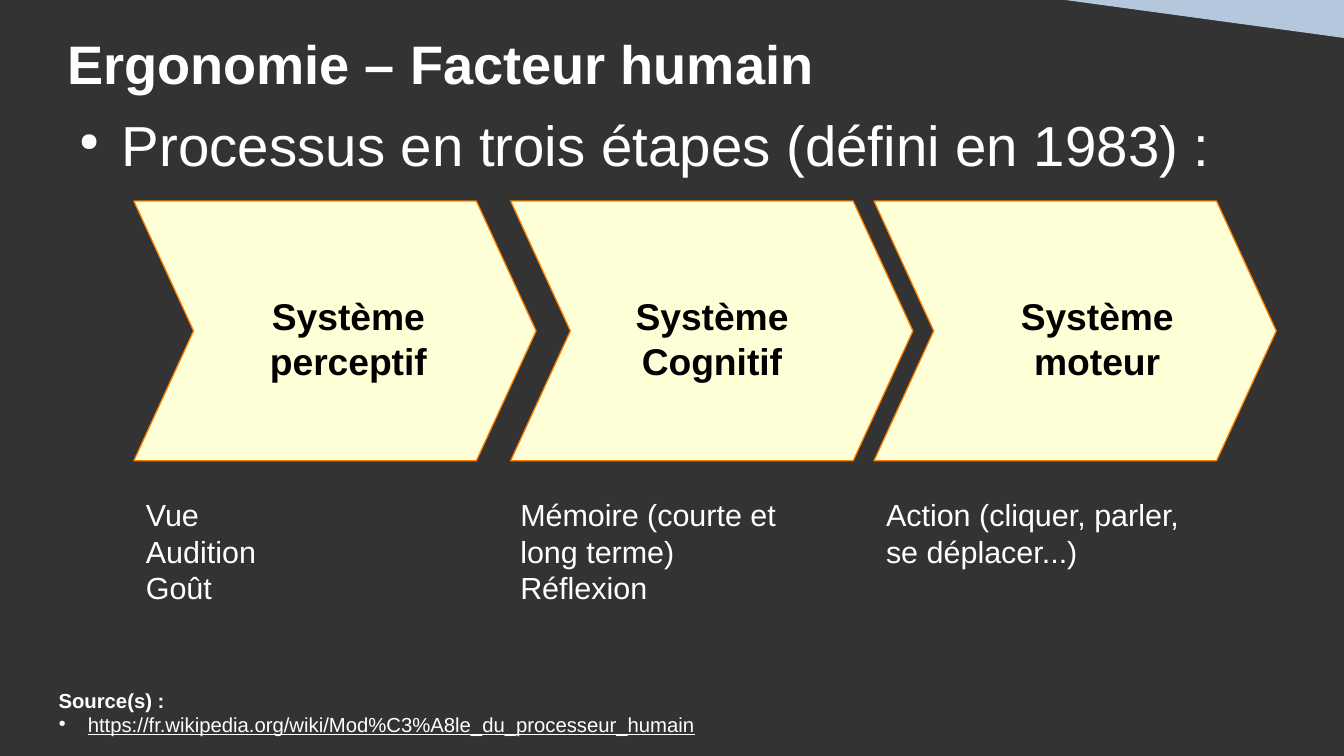
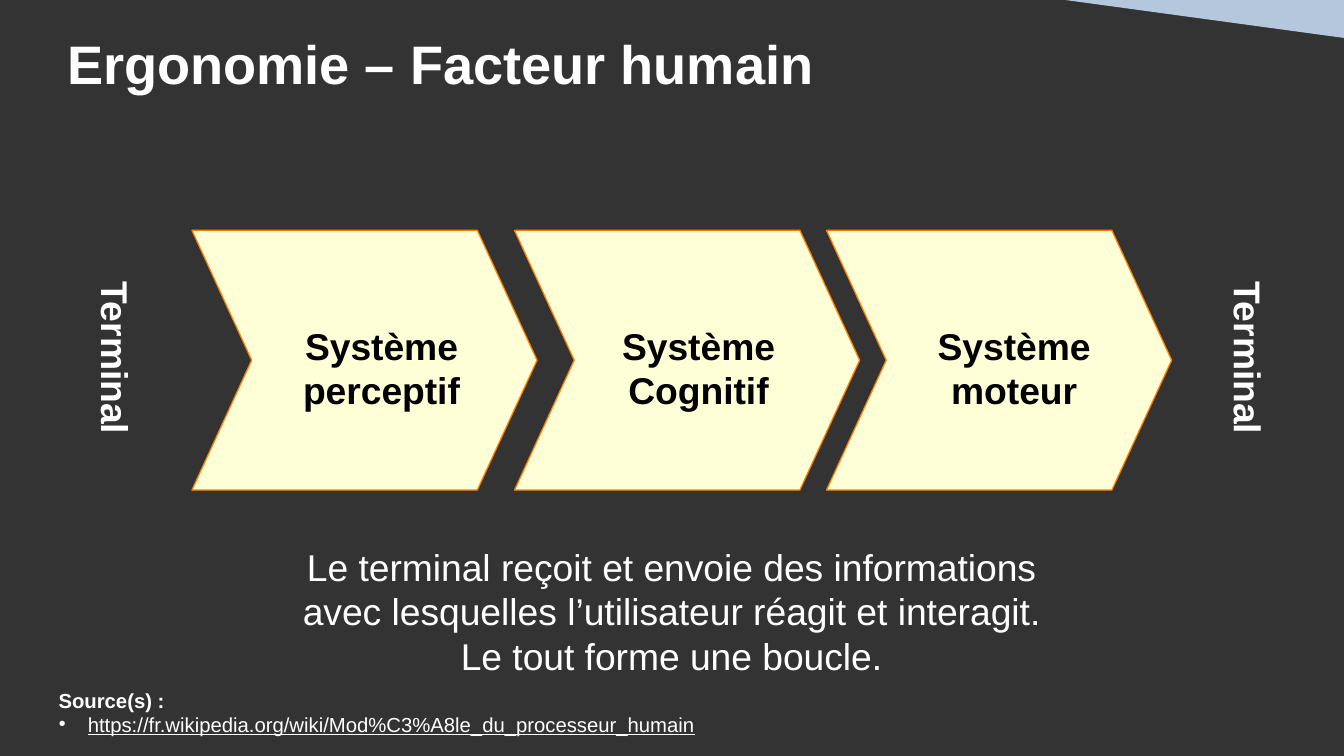
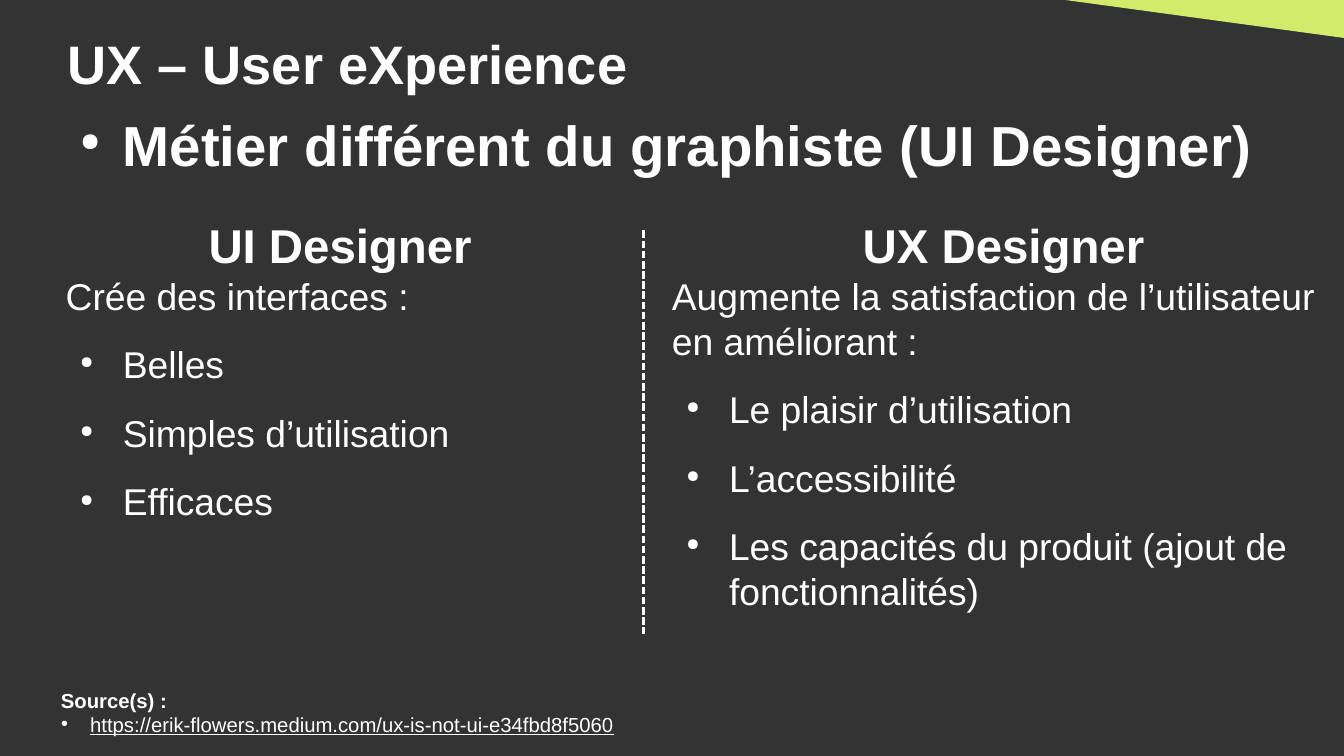
import pptx
import pptx.util
import pptx.dml.color
import pptx.enum.dml
import pptx.enum.shapes
import pptx.enum.text
import pptx.oxml.ns
from dataclasses import dataclass
from lxml import etree

Cm = pptx.util.Cm
Pt = pptx.util.Pt
Shape = pptx.enum.shapes.MSO_SHAPE
Align = pptx.enum.text.PP_ALIGN
qn = pptx.oxml.ns.qn


# Theme: colours and type sizes
@dataclass(frozen=True)
class Theme:
    font: str = "Arial"
    back: str = "333333"
    ink: str = "FFFFFF"
    dark: str = "000000"
    cream: str = "FFFFD7"
    edge: str = "FF8000"
    blue: str = "B4C7DC"
    lime: str = "D4EA6B"
    title: float = 32
    lead: float = 33.3
    head: float = 28
    text: float = 22
    note: float = 18
    small: float = 12
    gap: float = 14.1
    bullet: int = 45


T = Theme()


@dataclass(frozen=True)
class Box:
    """Left, top, width and height in centimetres."""
    x: float
    y: float
    w: float
    h: float

    def place(self) -> tuple:
        return Cm(self.x), Cm(self.y), Cm(self.w), Cm(self.h)


@dataclass(frozen=True)
class Para:
    text: str
    size: float = T.text
    bold: bool = False
    line: bool = False
    color: str = T.ink
    align: Align = Align.LEFT
    left: float = 0
    hang: float = 0
    space: float = 0


@dataclass(frozen=True)
class Step:
    """One chevron: its left edge, and the place and wording of its label."""
    x: float
    tag: float
    wide: float
    text: str


@dataclass(frozen=True)
class Side:
    """One column of the comparison."""
    head: float
    x: float
    w: float
    name: str
    intro: str
    items: tuple


# Helpers
def rgb(code: str) -> pptx.dml.color.RGBColor:
    return pptx.dml.color.RGBColor.from_string(code)


def bullet(para, left: float, hang: float) -> None:
    props = para._p.get_or_add_pPr()
    props.set("marL", str(Cm(left)))
    props.set("indent", str(-Cm(hang)))
    color = etree.SubElement(props, qn("a:buClr"))
    etree.SubElement(color, qn("a:srgbClr"), val=T.ink)
    etree.SubElement(props, qn("a:buSzPct"), val=str(T.bullet * 1000))
    etree.SubElement(props, qn("a:buChar"), char="●")


def write(slide, box: Box, paras: list[Para], pad: bool = True, turn: float = 0) -> None:
    shape = slide.shapes.add_textbox(*box.place())
    shape.rotation = turn
    frame = shape.text_frame
    side, edge = (Cm(0.25), Cm(0.13)) if pad else (0, 0)
    form = dict(word_wrap=True, margin_left=side, margin_right=side,
                margin_top=edge, margin_bottom=edge)
    for key, val in form.items():
        setattr(frame, key, val)
    for num, item in enumerate(paras):
        para = frame.add_paragraph() if num else frame.paragraphs[0]
        if item.hang:
            bullet(para, item.left, item.hang)
        para.alignment = item.align
        para.space_before = Pt(item.space if num else 0)
        run = para.add_run()
        run.text = item.text
        run.font.color.rgb = rgb(item.color)
        form = dict(name=T.font, size=Pt(item.size), bold=item.bold,
                    underline=item.line)
        for key, val in form.items():
            setattr(run.font, key, val)


def solid(slide, kind: Shape, box: Box, fill: str):
    shape = slide.shapes.add_shape(kind, *box.place())
    shape.shadow.inherit = False
    shape.fill.solid()
    shape.fill.fore_color.rgb = rgb(fill)
    shape.line.fill.background()
    return shape


def point(text: str, size: float = T.text, bold: bool = False) -> Para:
    return Para(text, size, bold, left=1.19, hang=0.89, space=T.gap)


# Shared parts: title, corner and source
def start(deck, title: str, tint: str, link: str, left: float = 0.97):
    slide = deck.slides.add_slide(deck.slide_layouts[6])
    write(slide, Box(1.4, 0.64, 25.2, 1.3), [Para(title, T.title, True)], pad=False)
    corner = solid(slide, Shape.RIGHT_TRIANGLE, Box(24.23, -3, 0.91, 6.68), tint)
    corner.rotation = 270
    corner._element.spPr.xfrm.set("flipH", "1")
    write(slide, Box(left, 14.2, 25.15, 1.2), [
        Para("Source(s) :", T.small, True),
        Para(link, T.small, line=True, left=0.61, hang=0.61)])
    return slide


def lead(slide, box: Box, text: str, bold: bool = False) -> None:
    write(slide, box, [point(text, T.lead, bold)], pad=False)


def chain(slide, steps: list[Step], top: float, wide: float) -> None:
    tall = 5.41
    for step in steps:
        arrow = solid(slide, Shape.CHEVRON, Box(step.x, top, wide, tall), T.cream)
        arrow.adjustments[0] = 0.23
        arrow.line.color.rgb = rgb(T.edge)
        arrow.line.width = Pt(0)
    for step in steps:
        write(slide, Box(step.tag, top + 1.8, step.wide, 1.98),
              [Para(step.text, bold=True, color=T.dark, align=Align.CENTER)])


# Slides
NAMES = ("Système perceptif", "Système Cognitif", "Système moteur")
WIDES = (4.52, 3.91, 4.52)
HUMAN = ("Ergonomie – Facteur humain", T.blue,
         "https://fr.wikipedia.org/wiki/Mod%C3%A8le_du_processeur_humain")


def steps(lefts: tuple, tags: tuple) -> list[Step]:
    return [Step(*row) for row in zip(lefts, tags, WIDES, NAMES)]


def stages(deck) -> None:
    slide = start(deck, *HUMAN)
    lead(slide, Box(1.35, 2.29, 24.05, 1.52),
         "Processus en trois étapes (défini en 1983) :")
    chain(slide, steps((2.79, 10.64, 18.21), (5, 12.88, 20.6)), 4.19, 8.38)
    notes = {
        2.79: ("Vue", "Audition", "Goût"),
        10.59: ("Mémoire (courte et long terme)", "Réflexion"),
        18.21: ("Action (cliquer, parler, se déplacer...)",),
    }
    for left, lines in notes.items():
        write(slide, Box(left, 10.21, 6.81, 2.39),
              [Para(line, T.note) for line in lines])


def loop(deck) -> None:
    slide = start(deck, *HUMAN)
    chain(slide, steps((4, 10.72, 17.22), (5.69, 12.6, 18.87)), 4.8, 7.19)
    for left in (0.05, 23.65):
        write(slide, Box(left, 6.76, 4.52, 1.4),
              [Para("Terminal", bold=True, align=Align.CENTER)], turn=90)
    lines = ("Le terminal reçoit et envoie des informations avec lesquelles "
             "l’utilisateur réagit et interagit.",
             "Le tout forme une boucle.")
    write(slide, Box(5.51, 11.2, 16.97, 2.84),
          [Para(line, align=Align.CENTER) for line in lines])


def roles(deck) -> None:
    slide = start(deck, "UX – User eXperience", T.lime,
                  "https://erik-flowers.medium.com/ux-is-not-ui-e34fbd8f5060", 1.02)
    lead(slide, Box(1.37, 2.29, 26.06, 1.5),
         "Métier différent du graphiste (UI Designer)", True)

    # Dashed divider
    rule = slide.shapes.add_connector(pptx.enum.shapes.MSO_CONNECTOR.STRAIGHT,
                                      Cm(13.41), Cm(4.8), Cm(13.41), Cm(13.21))
    etree.SubElement(rule._element.spPr, qn("a:effectLst"))
    rule.line.color.rgb = rgb(T.ink)
    form = dict(width=Pt(1.5), dash_style=pptx.enum.dml.MSO_LINE.SQUARE_DOT)
    for key, val in form.items():
        setattr(rule.line, key, val)

    # Two columns
    sides = (
        Side(1.19, 1.37, 11.63, "UI Designer", "Crée des interfaces :",
             ("Belles", "Simples d’utilisation", "Efficaces")),
        Side(15.01, 14, 14, "UX Designer",
             "Augmente la satisfaction de l’utilisateur en améliorant :",
             ("Le plaisir d’utilisation", "L’accessibilité",
              "Les capacités du produit (ajout de fonctionnalités)")),
    )
    for side in sides:
        write(slide, Box(side.head, 4.5, 11.79, 1.3),
              [Para(side.name, T.head, True, align=Align.CENTER)], pad=False)
        write(slide, Box(side.x, 5.69, side.w, 6.7),
              [Para(side.intro)] + [point(item) for item in side.items], pad=False)


def main() -> None:
    deck = pptx.Presentation()
    deck.slide_width, deck.slide_height = Cm(28), Cm(15.75)
    fill = deck.slide_master.background.fill
    fill.solid()
    fill.fore_color.rgb = rgb(T.back)
    for build in (stages, loop, roles):
        build(deck)
    deck.save("out.pptx")


if __name__ == "__main__":
    main()
